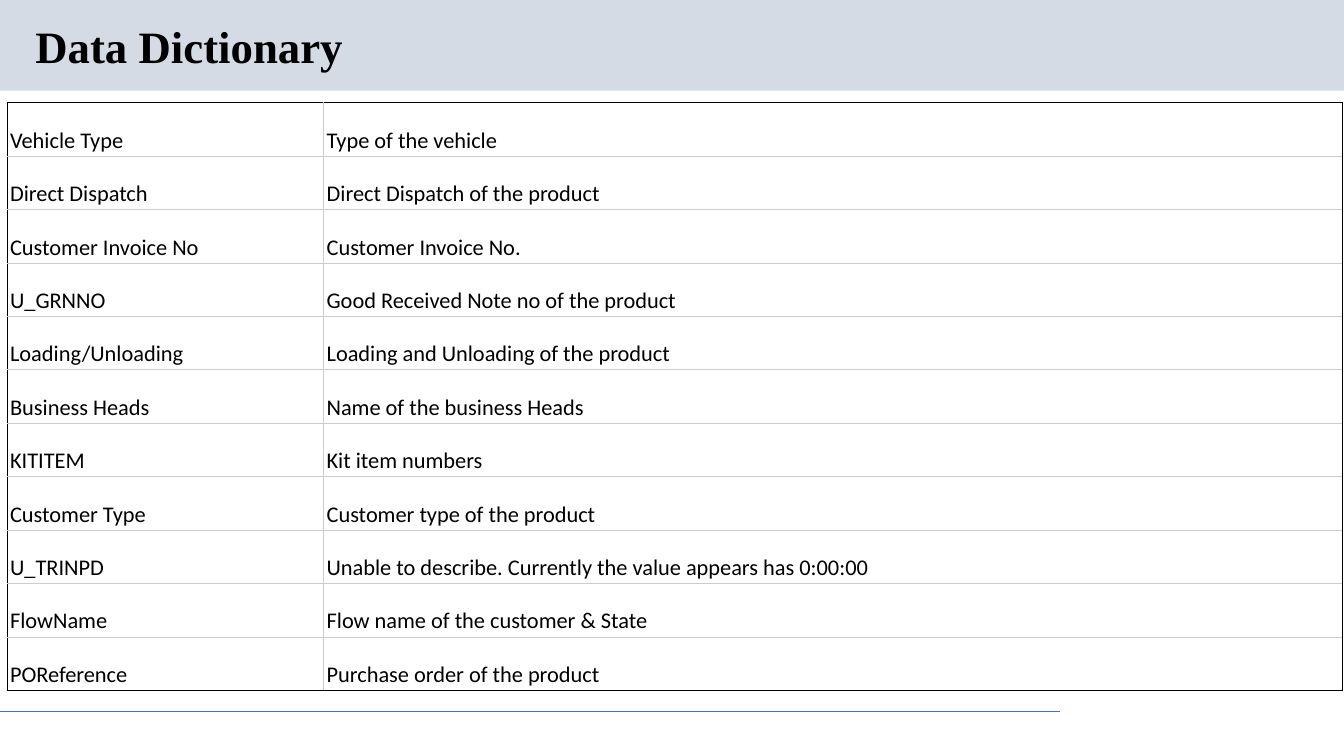
"""Build the Data Dictionary slide."""
from dataclasses import dataclass

from lxml import etree
from pptx import Presentation
from pptx import util as u
from pptx.dml.color import RGBColor
from pptx.enum import shapes, text
from pptx.oxml import ns

PX = 9144


@dataclass(frozen=True)
class Theme:
    band: str = "D5DBE5"
    ink: str = "000000"
    grid: str = "CCCCCC"
    rule: str = "4472C4"
    title_font: str = "Times New Roman"
    body_font: str = "Calibri"
    title_size: int = 32
    body_size: int = 16
    line_width: float = 0.75


class SlideBuilder:
    def __init__(self, prs, theme):
        self.theme = theme
        self.s = prs.slides.add_slide(prs.slide_layouts[5])

    def style(self, p, name, size, bold=False):
        for r in p.runs:
            r.font.name = name
            r.font.size = u.Pt(size)
            r.font.bold = bold
            r.font.color.rgb = RGBColor.from_string(self.theme.ink)

    def title(self, words, x, y, w, h):
        sp = self.s.shapes.title
        sp.left, sp.top, sp.width, sp.height = (v * PX for v in (x, y, w, h))
        tf = sp.text_frame
        tf.text = words
        tf.word_wrap = True
        tf.auto_size = text.MSO_AUTO_SIZE.SHAPE_TO_FIT_TEXT
        tf.vertical_anchor = text.MSO_ANCHOR.MIDDLE
        p = tf.paragraphs[0]
        p.alignment = text.PP_ALIGN.LEFT
        p.line_spacing = 0.9
        self.style(p, self.theme.title_font, self.theme.title_size, True)

    def band(self, x, y, w, h):
        sp = self.s.shapes.add_shape(shapes.MSO_SHAPE.RECTANGLE, x * PX, y * PX, w * PX, h * PX)
        sp.shadow.inherit = False
        sp.fill.solid()
        sp.fill.fore_color.rgb = RGBColor.from_string(self.theme.band)
        sp.line.fill.background()
        self.s.shapes.title.element.addprevious(sp.element)

    def rule(self, x1, y1, x2, y2):
        line = self.s.shapes.add_connector(
            shapes.MSO_CONNECTOR.STRAIGHT, x1 * PX, y1 * PX, x2 * PX, y2 * PX)
        line.line.color.rgb = RGBColor.from_string(self.theme.rule)
        line.line.width = u.Pt(self.theme.line_width)
        etree.SubElement(line.element.spPr, ns.qn("a:effectLst"))

    def border(self, cell, side, color):
        tc_pr = cell._tc.get_or_add_tcPr()
        ln = etree.SubElement(tc_pr, ns.qn(f"a:ln{side}"), w=str(u.Pt(self.theme.line_width)))
        fill = etree.SubElement(ln, ns.qn("a:solidFill"))
        etree.SubElement(fill, ns.qn("a:srgbClr"), val=color)

    def table(self, rows, x, y, widths, row_height):
        table = self.s.shapes.add_table(
            len(rows), len(widths), x * PX, y * PX,
            sum(widths) * PX, len(rows) * row_height * PX).table
        table.first_row = table.horz_banding = False
        for column, width in zip(table.columns, widths):
            column.width = width * PX
        for i, row in enumerate(rows):
            table.rows[i].height = row_height * PX
            for j, words in enumerate(row):
                cell = table.cell(i, j)
                cell.text = words
                cell.vertical_anchor = text.MSO_ANCHOR.BOTTOM
                cell.margin_left = cell.margin_right = 3 * PX
                cell.margin_top = cell.margin_bottom = 2 * PX
                self.style(cell.text_frame.paragraphs[0],
                           self.theme.body_font, self.theme.body_size)
                outer = {"L": j == 0, "R": j == len(widths) - 1,
                         "T": i == 0, "B": i == len(rows) - 1}
                for side, is_outer in outer.items():
                    self.border(cell, side, self.theme.ink if is_outer else self.theme.grid)
                cell.fill.background()


FIELDS = [
    ("Vehicle Type", "Type of the vehicle"),
    ("Direct Dispatch", "Direct Dispatch of the product"),
    ("Customer Invoice No", "Customer Invoice No."),
    ("U_GRNNO", "Good Received Note no of the product"),
    ("Loading/Unloading", "Loading and Unloading of the product"),
    ("Business Heads", "Name of the business Heads"),
    ("KITITEM", "Kit item numbers"),
    ("Customer Type", "Customer type of the product"),
    ("U_TRINPD", "Unable to describe. Currently the value appears has 0:00:00"),
    ("FlowName", "Flow name of the customer & State"),
    ("POReference", "Purchase order of the product"),
]


def main():
    prs = Presentation()
    prs.slide_width, prs.slide_height = u.Inches(13.33), u.Inches(7.5)
    slide = SlideBuilder(prs, Theme())
    slide.band(0, 0, 1333, 90)
    slide.rule(0, 706, 1051, 706)
    slide.title("Data Dictionary", 25, 19, 1150, 59)
    slide.table(FIELDS, 7, 102, (314, 1010), 53)
    prs.save("out.pptx")


if __name__ == "__main__":
    main()
